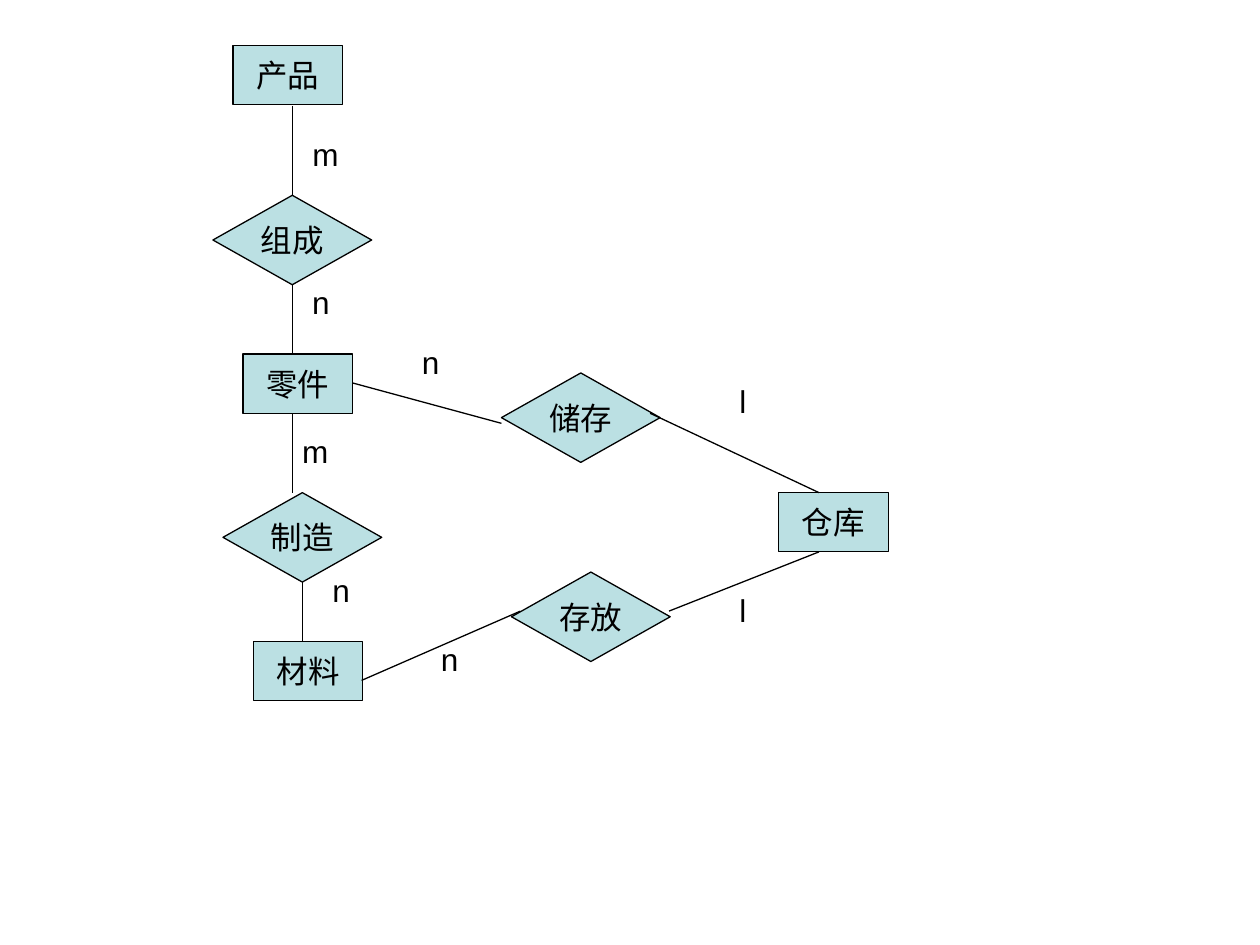
from pptx import Presentation
from pptx.dml.color import RGBColor
from pptx.enum.shapes import MSO_CONNECTOR, MSO_SHAPE
from pptx.enum.text import MSO_ANCHOR, MSO_AUTO_SIZE, PP_ALIGN
from pptx.oxml.ns import qn
from pptx.util import Inches, Pt
from lxml.etree import SubElement

PALE_TEAL = RGBColor(0xBB, 0xE0, 0xE3)
BLACK = RGBColor(0, 0, 0)
FONT = {"name": "Arial", "size": Pt(18)}
LINE_WIDTH = Pt(0.75)

ENTITIES = [
    ("产品", 1.85, 0.36),
    ("零件", 1.93, 2.81),
    ("材料", 2.01, 5.09),
    ("仓库", 6.18, 3.91),
]
RELATIONS = [
    ("组成", 1.69, 1.55),
    ("制造", 1.77, 3.91),
    ("储存", 3.98, 2.96),
    ("存放", 4.06, 4.54),
]
NODE_KINDS = [
    (MSO_SHAPE.RECTANGLE, 0.87, 0.47, ENTITIES),
    (MSO_SHAPE.DIAMOND, 1.26, 0.71, RELATIONS),
]
LINKS = [
    (2.32, 0.84, 2.32, 1.55),
    (2.32, 2.25, 2.32, 2.81),
    (2.32, 3.28, 2.32, 3.91),
    (2.4, 4.62, 2.4, 5.09),
    (2.8, 3.04, 3.98, 3.36),
    (5.16, 3.28, 6.5, 3.91),
    (2.87, 5.4, 4.13, 4.85),
    (5.31, 4.85, 6.5, 4.38),
]
CARDINALITIES = [
    ("m", 2.38, 1.02),
    ("n", 2.38, 2.2),
    ("m", 2.3, 3.38),
    ("n", 2.54, 4.48),
    ("n", 3.25, 2.67),
    ("l", 5.77, 2.98),
    ("n", 3.4, 5.03),
    ("l", 5.77, 4.64),
]
LABEL_WIDTHS = {"m": 0.41, "n": 0.34, "l": 0.25}
LABEL_HEIGHT = 0.4


def write(shape, text, align, anchor):
    frame = shape.text_frame
    frame.word_wrap = False
    frame.vertical_anchor = anchor
    para = frame.paragraphs[0]
    para.alignment = align
    span = para.add_run()
    span.text = text
    for key, value in FONT.items():
        setattr(span.font, key, value)
    span.font.color.rgb = BLACK


def outline(shape):
    shape.line.color.rgb = BLACK
    shape.line.width = LINE_WIDTH


def add_node(page, kind, text, left, top, width, height):
    node = page.shapes.add_shape(kind, *map(Inches, (left, top, width, height)))
    node.shadow.inherit = False
    node.fill.solid()
    node.fill.fore_color.rgb = PALE_TEAL
    outline(node)
    write(node, text, PP_ALIGN.CENTER, MSO_ANCHOR.MIDDLE)


def add_link(page, ends):
    link = page.shapes.add_connector(MSO_CONNECTOR.STRAIGHT, *map(Inches, ends))
    outline(link)
    SubElement(link._element.spPr, qn("a:effectLst"))


def add_label(page, text, left, top):
    size = (left, top, LABEL_WIDTHS[text], LABEL_HEIGHT)
    box = page.shapes.add_textbox(*map(Inches, size))
    write(box, text, PP_ALIGN.LEFT, MSO_ANCHOR.TOP)
    box.text_frame.auto_size = MSO_AUTO_SIZE.SHAPE_TO_FIT_TEXT


def main():
    deck = Presentation()
    deck.slide_width, deck.slide_height = Inches(10), Inches(7.5)
    page = deck.slides.add_slide(deck.slide_layouts[6])
    for kind, width, height, nodes in NODE_KINDS:
        for text, left, top in nodes:
            add_node(page, kind, text, left, top, width, height)
    for ends in LINKS:
        add_link(page, ends)
    for text, left, top in CARDINALITIES:
        add_label(page, text, left, top)
    deck.save("out.pptx")


if __name__ == "__main__":
    main()
